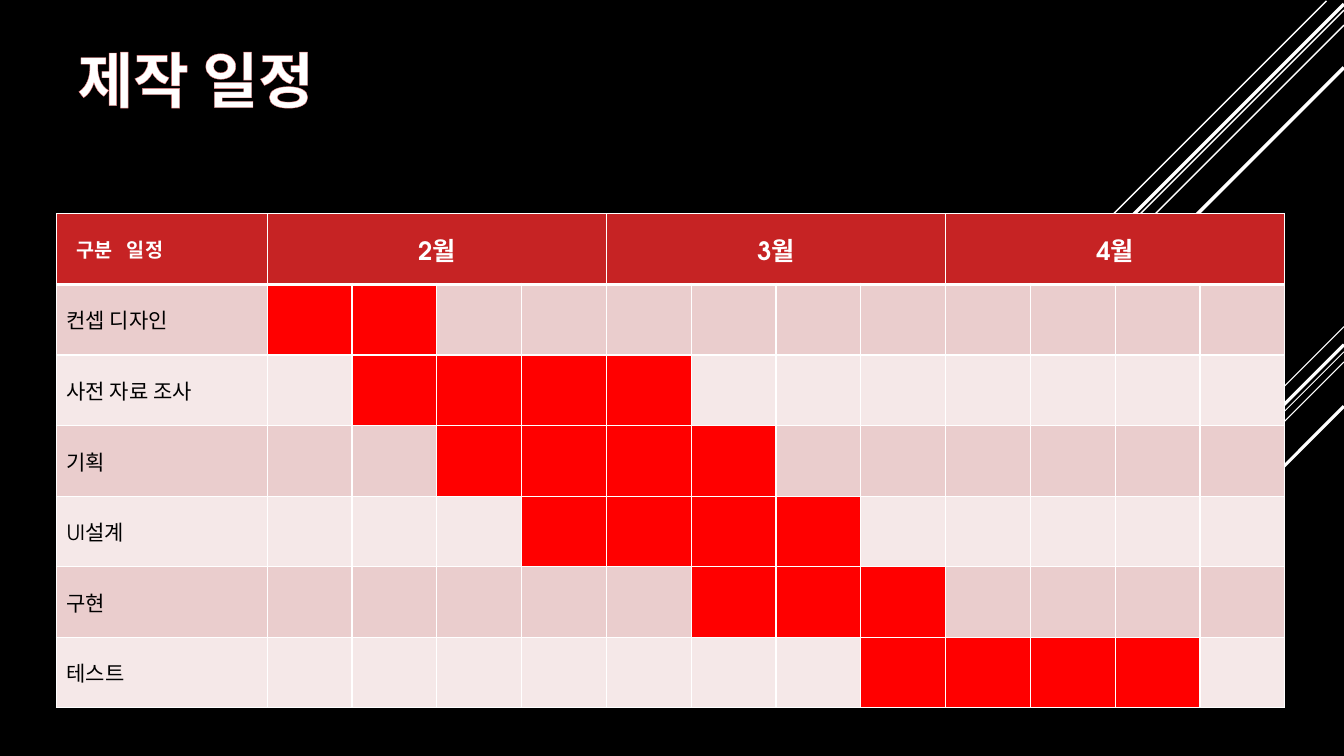
from lxml.etree import SubElement
from pptx import Presentation
from pptx.dml.color import RGBColor
from pptx.enum.text import MSO_ANCHOR, MSO_AUTO_SIZE, PP_ALIGN
from pptx.oxml.ns import qn
from pptx.util import Pt

TITLE = "제작 일정"
CORNER = "구분\t일정"
MONTHS = ["2월", "3월", "4월"]
TASKS = [
    ("컨셉 디자인", 1, 2),
    ("사전 자료 조사", 2, 5),
    ("기획", 3, 6),
    ("UI설계", 4, 7),
    ("구현", 6, 8),
    ("테스트", 8, 11),
]
DIAGONALS = [
    (960, 233.3, 72, 0.75),
    (960, 251.3, 234.7, 0.75),
    (960, 258.5, 149, 0.75),
    (960, 246.2, 137.5, 2.25),
    (960, 290.2, 100, 2.25),
    (947.5, 0.7, 300, 1),
    (960, 7.2, 479, 1),
    (960, 18, 390, 1),
    (960, 2.9, 382, 2.5),
    (960, 48.2, 342, 2.5),
]
COLORS = {
    "background": "000000",
    "white": "FFFFFF",
    "title_edge": "E67272",
    "header": "C62324",
    "odd": "EACDCD",
    "even": "F5E8E8",
    "active": "FF0000",
    "text": "000000",
}
FONT = "TeX Gyre Adventor"
WEEKS = 4
LABEL_WIDTH, WEEK_WIDTH, ROW_HEIGHT = 150.5, 60.6, 50.4
TABLE_LEFT, TABLE_TOP = 40.3, 152.8
CORNER_INSET, CORNER_TAB = 14.4, 122


def color(name):
    return RGBColor.from_string(COLORS[name])


def set_font(para, size, name, bold):
    para.font.name = FONT
    para.font.size = Pt(size)
    para.font.bold = bold
    para.font.color.rgb = color(name)


def add_line_fill(line, name):
    fill = SubElement(line, qn("a:solidFill"))
    SubElement(fill, qn("a:srgbClr"), val=COLORS[name])


def style_cell(cell, fill, top=1, bottom=1):
    properties = cell._tc.get_or_add_tcPr()
    for side, width in (("L", 1), ("R", 1), ("T", top), ("B", bottom)):
        line = SubElement(properties, qn(f"a:ln{side}"), w=str(Pt(width)))
        add_line_fill(line, "white")
    cell.fill.solid()
    cell.fill.fore_color.rgb = color(fill)
    cell.vertical_anchor = MSO_ANCHOR.MIDDLE


def write_cell(cell, text, size, name, bold, align):
    cell.text = text
    para = cell.text_frame.paragraphs[0]
    para.alignment = align
    set_font(para, size, name, bold)


def add_diagonals(page):
    for x, y, run, width in DIAGONALS:
        line = page.shapes.add_connector(1, Pt(x), Pt(y), Pt(x - run), Pt(y + run))
        line.line.color.rgb = color("white")
        line.line.width = Pt(width)
        SubElement(line._element.spPr, qn("a:effectLst"))


def add_title(page):
    box = page.shapes.title
    box.left, box.top, box.width, box.height = Pt(48.2), Pt(21.6), Pt(630), Pt(64.1)
    frame = box.text_frame
    frame.auto_size = MSO_AUTO_SIZE.NONE
    frame.vertical_anchor = MSO_ANCHOR.BOTTOM
    para = frame.paragraphs[0]
    para.alignment = PP_ALIGN.LEFT
    set_font(para, 43.2, "white", True)
    span = para.add_run()
    span.text = TITLE
    edge = SubElement(span._r.get_or_add_rPr(), qn("a:ln"), w=str(Pt(0.8)))
    add_line_fill(edge, "title_edge")


def add_schedule(page):
    weeks = len(MONTHS) * WEEKS
    rows = len(TASKS) + 1
    frame = page.shapes.add_table(
        rows, weeks + 1, Pt(TABLE_LEFT), Pt(TABLE_TOP),
        Pt(LABEL_WIDTH + weeks * WEEK_WIDTH), Pt(rows * ROW_HEIGHT))
    table = frame.table
    table.first_row = table.horz_banding = False
    for index, column in enumerate(table.columns):
        column.width = Pt(WEEK_WIDTH if index else LABEL_WIDTH)
    for row in table.rows:
        row.height = Pt(ROW_HEIGHT)

    for column in range(weeks + 1):
        style_cell(table.cell(0, column), "header", bottom=3)
    corner = table.cell(0, 0)
    corner.margin_left = Pt(CORNER_INSET)
    properties = corner.text_frame.paragraphs[0]._p.get_or_add_pPr()
    tabs = SubElement(properties, qn("a:tabLst"))
    SubElement(tabs, qn("a:tab"), pos=str(Pt(CORNER_TAB)), algn="r")
    write_cell(corner, CORNER, 14, "white", True, PP_ALIGN.LEFT)
    for index, month in enumerate(MONTHS):
        first = 1 + index * WEEKS
        cell = table.cell(0, first)
        cell.merge(table.cell(0, first + WEEKS - 1))
        write_cell(cell, month, 18, "white", True, PP_ALIGN.CENTER)

    for row, (task, start, end) in enumerate(TASKS, 1):
        band = "odd" if row % 2 else "even"
        for column in range(weeks + 1):
            fill = "active" if start <= column <= end else band
            style_cell(table.cell(row, column), fill, top=3 if row == 1 else 1)
        write_cell(table.cell(row, 0), task, 15, "text", False, PP_ALIGN.LEFT)


def main():
    deck = Presentation()
    deck.slide_width, deck.slide_height = Pt(960), Pt(540)
    page = deck.slides.add_slide(deck.slide_layouts[5])
    page.background.fill.solid()
    page.background.fill.fore_color.rgb = color("background")
    add_diagonals(page)
    add_title(page)
    add_schedule(page)
    deck.save("out.pptx")


if __name__ == "__main__":
    main()
